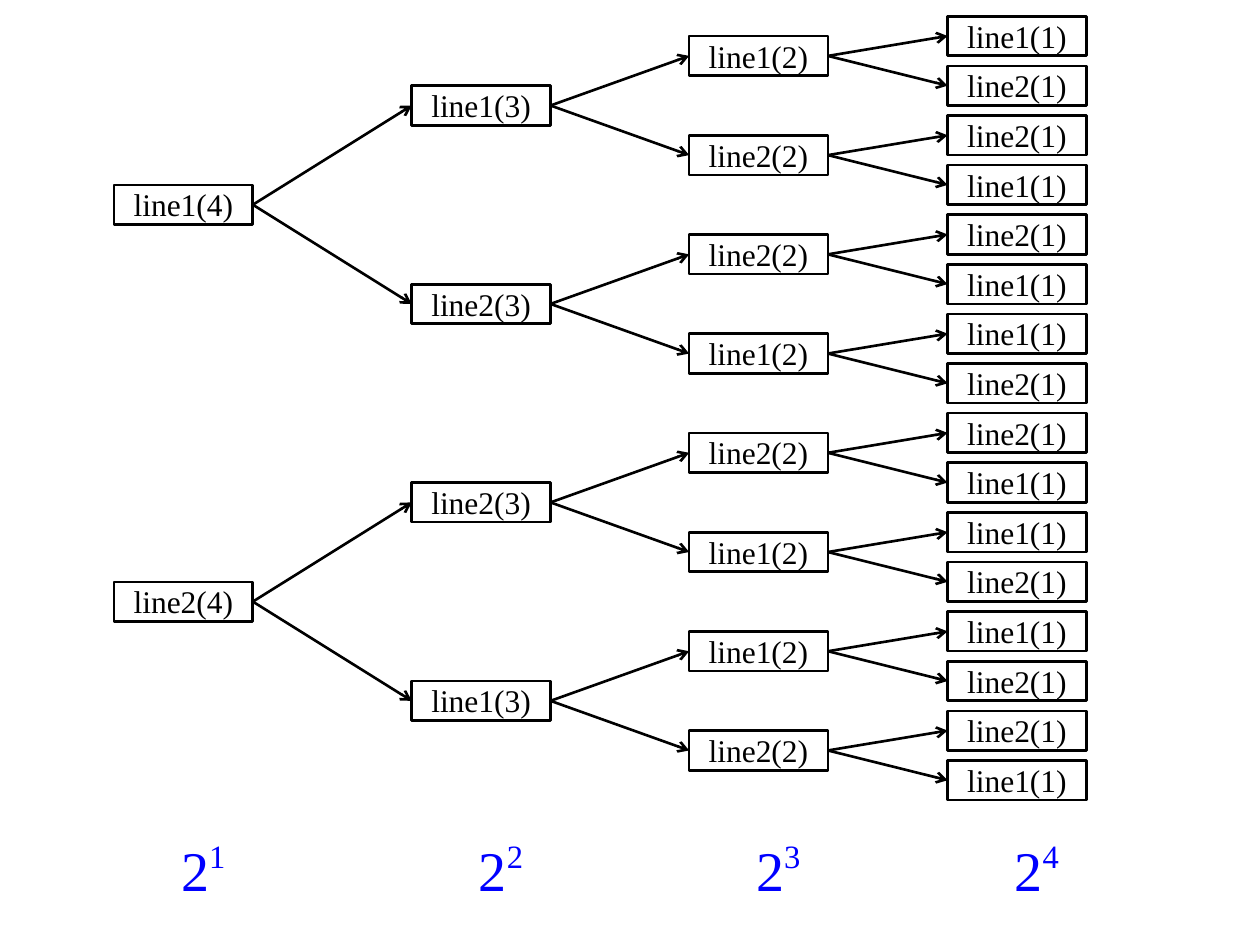
from lxml.etree import SubElement
from pptx import Presentation
from pptx.dml.color import RGBColor
from pptx.enum.shapes import MSO_CONNECTOR, MSO_SHAPE
from pptx.enum.text import MSO_ANCHOR, PP_ALIGN
from pptx.oxml.ns import qn
from pptx.util import Pt

COLORS = {"ink": "000000", "box": "FFFFFF", "count": "0000FF"}
FONT = "Times New Roman"
LEFT_SIDE, RIGHT_SIDE = 1, 3

COLUMN_LEFTS = [65.2, 235.3, 393.8, 541.5]
DEPTH = len(COLUMN_LEFTS)
BOX_WIDTH, BOX_HEIGHT = 79.3, 22.6
ROOT_CENTER, ROOT_PITCH = 117, 226.8
LEAF_SHIFT = 2.83
COUNT_INDENT, COUNT_TOP = 22.6, 473.8
COUNT_WIDTH, COUNT_HEIGHT = 56.7, 45.4


class CallTree:
    def __init__(self, slide):
        self.shapes = slide.shapes

    def style(self, font, size, color):
        font.name = FONT
        font.size = Pt(size)
        font.color.rgb = RGBColor.from_string(COLORS[color])

    def call_box(self, text, left, center):
        box = self.shapes.add_shape(
            MSO_SHAPE.RECTANGLE, Pt(left), Pt(center - BOX_HEIGHT / 2),
            Pt(BOX_WIDTH), Pt(BOX_HEIGHT))
        box.shadow.inherit = False
        box.fill.solid()
        box.fill.fore_color.rgb = RGBColor.from_string(COLORS["box"])
        box.line.color.rgb = RGBColor.from_string(COLORS["ink"])
        box.line.width = Pt(1.5)
        frame = box.text_frame
        frame.word_wrap = False
        frame.vertical_anchor = MSO_ANCHOR.MIDDLE
        frame.margin_left = frame.margin_right = Pt(7.2)
        frame.margin_top, frame.margin_bottom = Pt(3), Pt(3.6)
        frame.text = text
        paragraph = frame.paragraphs[0]
        paragraph.alignment = PP_ALIGN.CENTER
        self.style(paragraph.runs[0].font, 18, "ink")
        return box

    def arrow(self, caller, callee):
        arrow = self.shapes.add_connector(MSO_CONNECTOR.STRAIGHT, 0, 0, 0, 0)
        arrow.begin_connect(caller, RIGHT_SIDE)
        arrow.end_connect(callee, LEFT_SIDE)
        arrow.line.color.rgb = RGBColor.from_string(COLORS["ink"])
        arrow.line.width = Pt(1.5)
        SubElement(arrow.line._get_or_add_ln(), qn("a:tailEnd"), type="arrow")
        SubElement(arrow.element.spPr, qn("a:effectLst"))

    def call_count(self, exponent, left):
        """Label a column with its number of calls, as a power of two."""
        label = self.shapes.add_textbox(
            Pt(left), Pt(COUNT_TOP), Pt(COUNT_WIDTH), Pt(COUNT_HEIGHT))
        label.text_frame.word_wrap = True
        paragraph = label.text_frame.paragraphs[0]
        paragraph.alignment = PP_ALIGN.CENTER
        for text in ("2", str(exponent)):
            run = paragraph.add_run()
            run.text = text
            self.style(run.font, 32, "count")
        paragraph.runs[-1].font._element.set("baseline", "40000")

    def branch(self, line, level, center):
        """Draw a call and all its callees: the same line first, then the other."""
        shift = LEAF_SHIFT if level == DEPTH - 1 else 0
        caller = self.call_box(
            f"line{line}({DEPTH - level})", COLUMN_LEFTS[level], center + shift)
        if level < DEPTH - 1:
            offset = ROOT_PITCH / 2 ** (level + 2)
            for callee_line, y in ((line, center - offset),
                                   (3 - line, center + offset)):
                self.arrow(caller, self.branch(callee_line, level + 1, y))
        return caller


def main():
    prs = Presentation()
    prs.slide_width, prs.slide_height = Pt(720), Pt(540)
    blank_layout = prs.slide_layouts[6]
    tree = CallTree(prs.slides.add_slide(blank_layout))

    for root in range(2):
        tree.branch(root + 1, 0, ROOT_CENTER + root * ROOT_PITCH)
    for exponent, left in enumerate(COLUMN_LEFTS, start=1):
        tree.call_count(exponent, left + COUNT_INDENT)

    prs.save("out.pptx")


if __name__ == "__main__":
    main()
